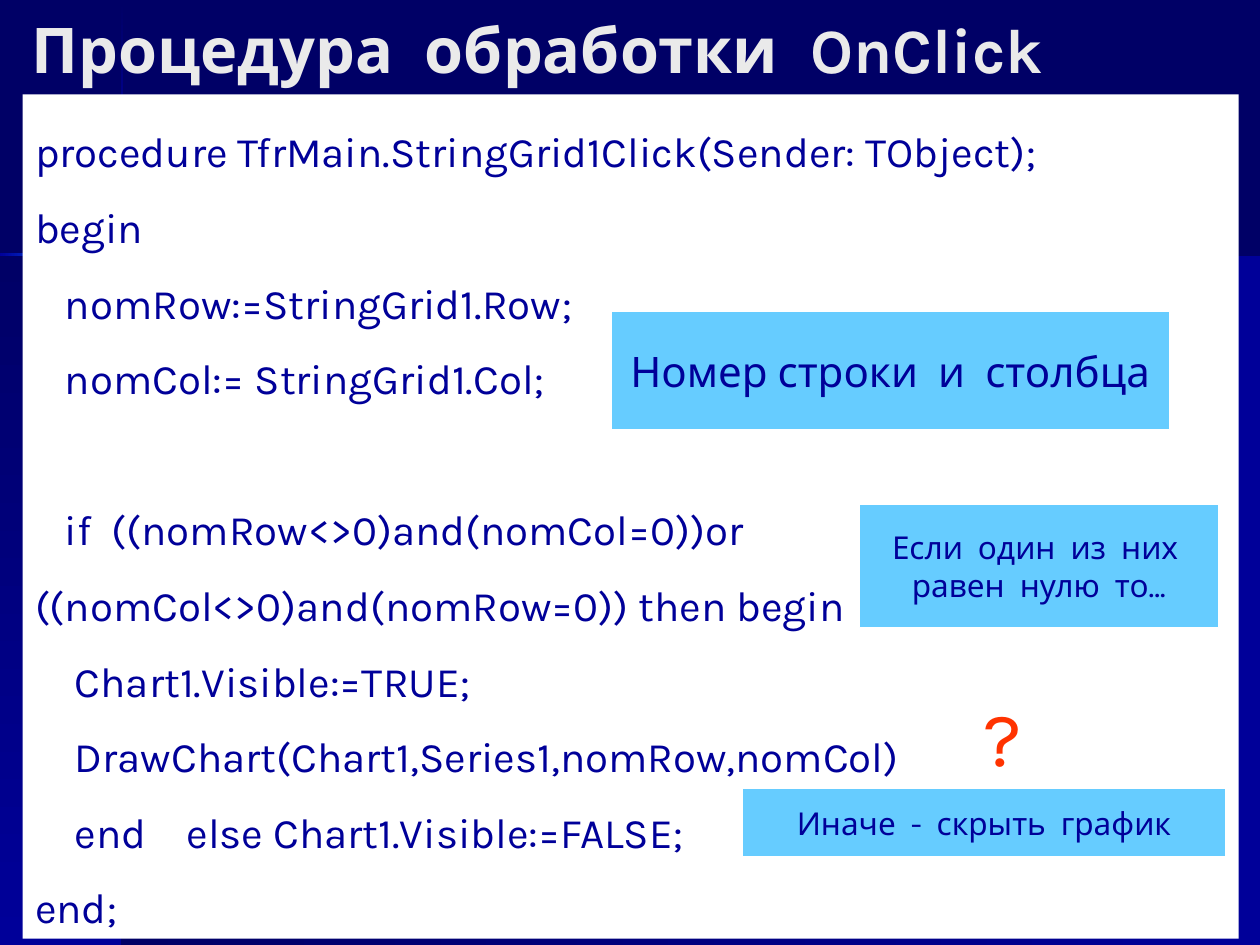
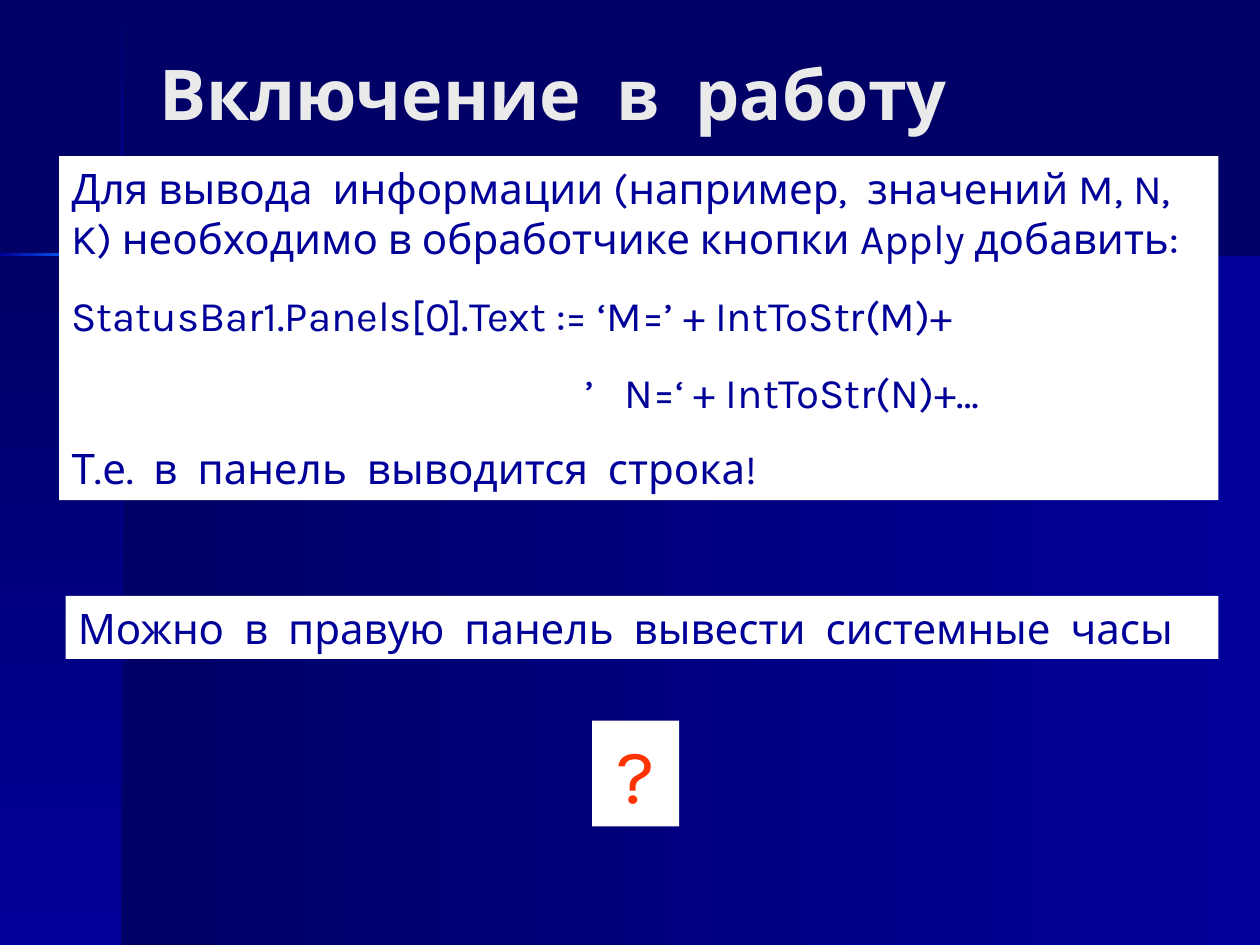
from dataclasses import dataclass
from typing import NamedTuple

from lxml.etree import SubElement
from pptx import Presentation
from pptx.dml.color import RGBColor
from pptx.enum.shapes import MSO_SHAPE
from pptx.enum.text import MSO_ANCHOR, PP_ALIGN
from pptx.oxml.ns import qn
from pptx.slide import Slide
from pptx.util import Pt

FONT = "Karla"
COLORS = {
    "night": "000066",
    "navy": "000099",
    "glow": "0066FF",
    "title": "EAEAEA",
    "paper": "FFFFFF",
    "callout": "66CCFF",
    "question": "FF3300",
}
DOWN, LEFTWARD = 270, 180


class Area(NamedTuple):
    left: float
    top: float
    width: float
    height: float

    def lengths(self) -> list[Pt]:
        return [Pt(value) for value in self]


class Band(NamedTuple):
    area: Area
    start: str
    end: str
    angle: int


class Line(NamedTuple):
    text: str
    space_before: float = 0
    tab: float = 0


@dataclass
class Panel:
    area: Area
    lines: list[Line]
    size: float = 24
    color: str = "navy"
    fill: str | None = None
    outline: str | None = None
    bold: bool = False
    wrap: bool = True
    centred: bool = False
    middle: bool = False
    line_spacing: float = 1.0


BANDS = [
    Band(Area(69.84, 145.44, 650.16, 394.56), "navy", "night", LEFTWARD),
    Band(Area(0, 145.44, 69.84, 394.56), "night", "navy", DOWN),
    Band(Area(69.12, 0.72, 1.44, 86.4), "night", "navy", DOWN),
    Band(Area(69.12, 203.04, 1.44, 336.96), "navy", "night", DOWN),
    Band(Area(127.44, 144.72, 592.56, 1.44), "night", "navy", LEFTWARD),
    Band(Area(0, 144.72, 43.92, 1.44), "glow", "navy", LEFTWARD),
]
GLOWING_BAND = Band(Area(69.12, 87.12, 1.44, 31.68), "navy", "glow", DOWN)


def rgb(name: str) -> RGBColor:
    return RGBColor.from_string(COLORS[name])


def add_band(page: Slide, band: Band) -> None:
    box = page.shapes.add_shape(MSO_SHAPE.RECTANGLE, *band.area.lengths())
    box.shadow.inherit = False
    box.line.fill.background()
    box.fill.gradient()
    box.fill.gradient_angle = band.angle
    for stop, name in zip(box.fill.gradient_stops, (band.start, band.end)):
        stop.color.rgb = rgb(name)


def add_panel(page: Slide, panel: Panel) -> None:
    if panel.fill:
        box = page.shapes.add_shape(MSO_SHAPE.RECTANGLE, *panel.area.lengths())
        box.shadow.inherit = False
        box.fill.solid()
        box.fill.fore_color.rgb = rgb(panel.fill)
        if panel.outline:
            box.line.color.rgb = rgb(panel.outline)
            box.line.width = Pt(0.75)
        else:
            box.line.fill.background()
    else:
        box = page.shapes.add_textbox(*panel.area.lengths())

    frame = box.text_frame
    frame.word_wrap = panel.wrap
    frame.vertical_anchor = MSO_ANCHOR.MIDDLE if panel.middle else MSO_ANCHOR.TOP
    for index, line in enumerate(panel.lines):
        para = frame.add_paragraph() if index else frame.paragraphs[0]
        para.alignment = PP_ALIGN.CENTER if panel.centred else PP_ALIGN.LEFT
        para.line_spacing = panel.line_spacing
        if line.space_before:
            para.space_before = Pt(line.space_before)
        if line.tab:
            tabs = SubElement(para._p.get_or_add_pPr(), qn("a:tabLst"))
            SubElement(tabs, qn("a:tab"), pos=str(Pt(line.tab)), algn="l")
        span = para.add_run()
        span.text = line.text
        span.font.name = FONT
        span.font.size = Pt(panel.size)
        span.font.bold = panel.bold
        span.font.color.rgb = rgb(panel.color)


def title(area: Area, text: str, size: float) -> Panel:
    return Panel(area, [Line(text)], size, "title", bold=True, middle=True)


def callout(area: Area, texts: list[str], size: float = 18) -> Panel:
    return Panel(area, [Line(text) for text in texts], size, fill="callout",
                 outline="paper", wrap=False, centred=True, middle=True)


def question(area: Area, fill: str | None = None) -> Panel:
    return Panel(area, [Line("?")], 44, "question", fill, centred=fill is not None)


def add_page(deck: Presentation, bands: list[Band], panels: list[Panel]) -> None:
    page = deck.slides.add_slide(deck.slide_layouts[6])
    page.background.fill.solid()
    page.background.fill.fore_color.rgb = rgb("night")
    for band in bands:
        add_band(page, band)
    for panel in panels:
        add_panel(page, panel)


CLICK_HANDLER = [
    Line("procedure TfrMain.StringGrid1Click(Sender: TObject);"),
    Line("begin"),
    Line("   nomRow:=StringGrid1.Row;"),
    Line("   nomCol:= StringGrid1.Col;"),
    Line("   if  ((nomRow<>0)and(nomCol=0))or ((nomCol<>0)and(nomRow=0)) then begin",
         space_before=43.2),
    Line("    Chart1.Visible:=TRUE;"),
    Line("    DrawChart(Chart1,Series1,nomRow,nomCol)"),
    Line("    end    else Chart1.Visible:=FALSE;"),
    Line("end;"),
]

STATUS_OUTPUT = [
    Line("Для вывода  информации (например,  значений M, N, K) "
         "необходимо в обработчике кнопки Apply добавить:"),
    Line("StatusBar1.Panels[0].Text := ‘M=’ + IntToStr(M)+", 15),
    Line("\t ’   N=‘ + IntToStr(N)+…", 15, tab=288),
    Line("Т.е.  в  панель  выводится  строка!", 15),
]


def main() -> None:
    deck = Presentation()
    deck.slide_width, deck.slide_height = Pt(720), Pt(540)
    add_page(deck, BANDS, [
        title(Area(10.8, 4.32, 696.96, 46.08), "Процедура  обработки  OnClick", 36),
        Panel(Area(12.96, 54, 694.8, 482.4), CLICK_HANDLER, fill="paper",
              line_spacing=1.5),
        callout(Area(349.2, 177.84, 318.96, 67.68), ["Номер строки  и  столбца"], 24),
        callout(Area(491.04, 288, 205.2, 70.56),
                ["Если  один  из  них ", "равен  нулю  то…"]),
        callout(Area(424.08, 450.72, 276.48, 38.88), ["Иначе  -  скрыть  график"]),
        question(Area(555.12, 390.24, 35.28, 60.48)),
    ])
    add_page(deck, [*BANDS, GLOWING_BAND], [
        title(Area(84.24, 23.76, 594, 58.32), "Включение  в  работу", 40),
        Panel(Area(33.84, 89.28, 662.4, 196.56), STATUS_OUTPUT, fill="paper"),
        Panel(Area(37.44, 340.56, 658.8, 36),
              [Line("Можно  в  правую  панель  вывести  системные  часы")], fill="paper"),
        question(Area(338.4, 411.84, 49.68, 60.48), "paper"),
    ])
    deck.save("out.pptx")


if __name__ == "__main__":
    main()
